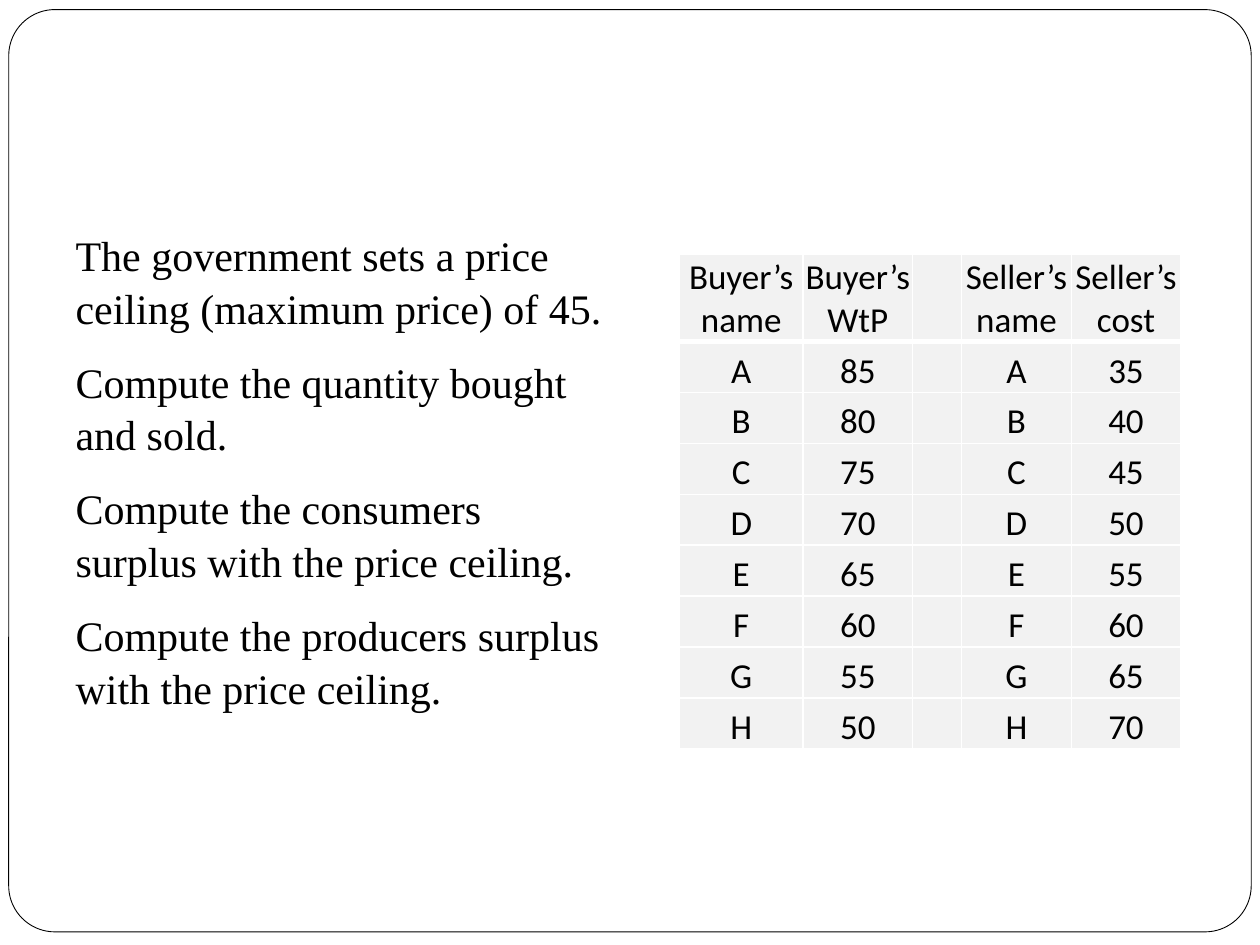
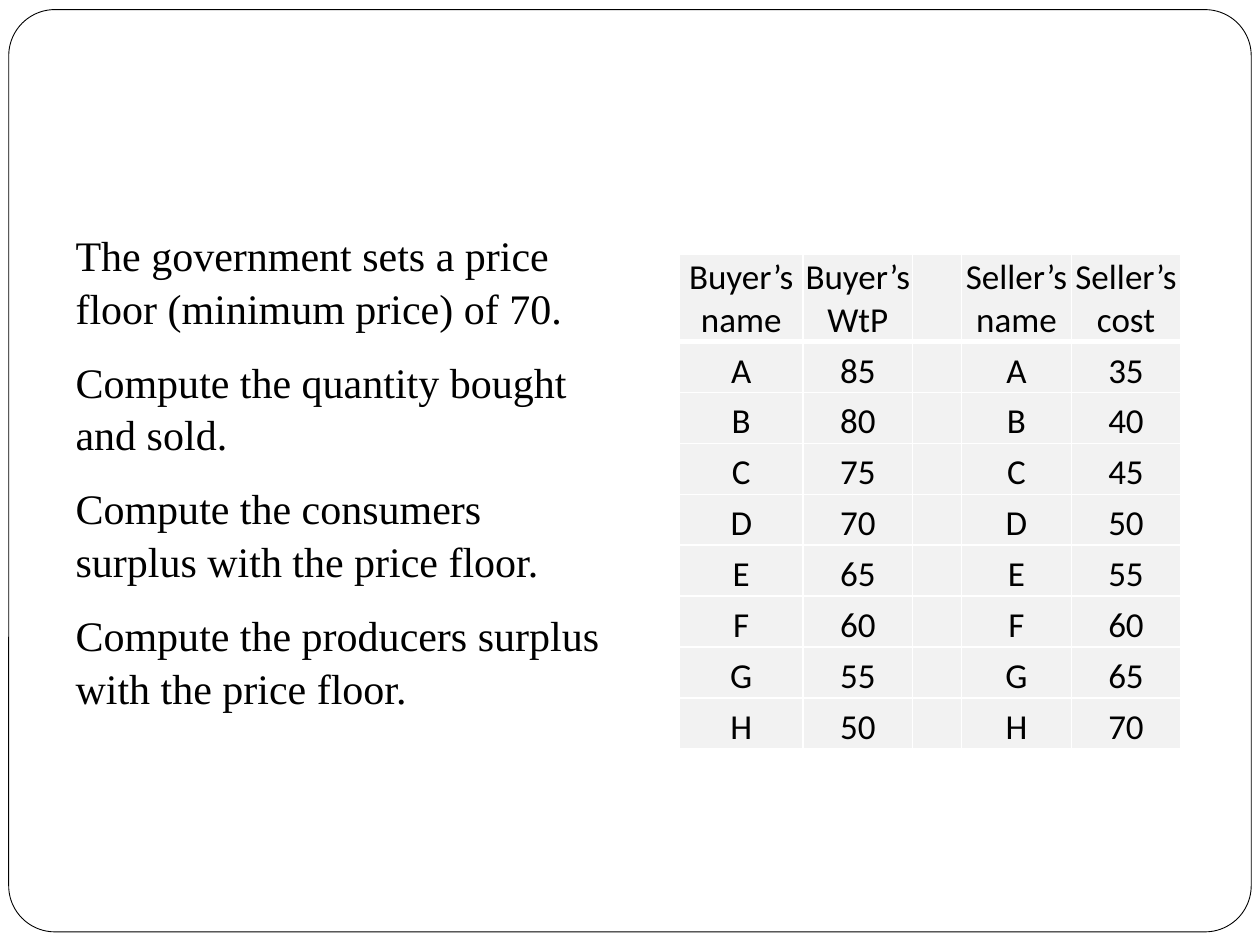
from itertools import product

from lxml.etree import SubElement
from pptx import Presentation
from pptx.dml.color import RGBColor
from pptx.enum.shapes import MSO_SHAPE as Preset
from pptx.enum.text import MSO_ANCHOR as Anchor, PP_ALIGN as Align
from pptx.oxml.ns import qn
from pptx.util import Pt

WHITE, BLACK, CELL_GREY = "FFFFFF", "000000", "F2F2F2"
BODY_FONT, TABLE_FONT = "Times New Roman", "Calibri"
FRAME_BOX = (5, 5.5, 710, 527)
QUESTION_BOX = (36, 126, 318.5, 356.5)
TABLE_BOX = (388.3, 145.5, 286.5, 282.5)
COLUMN_WIDTHS = (70.6, 62.6, 28.1, 62.6, 62.6)
ROW_HEIGHT = 29.1
HEADINGS = ("Buyer’s name", "Buyer’s WtP", "", "Seller’s name", "Seller’s cost")
TRADERS = "ABCDEFGH"
TOP_VALUE, LOWEST_COST, VALUE_STEP = 85, 35, 5
POLICIES = (("ceiling", "maximum", 45), ("floor", "minimum", 70))


def paint(color_format, hex_color):
    """Set a colour format from a hex string."""
    color_format.rgb = RGBColor.from_string(hex_color)


def add_span(para, text, font_name, size):
    """Append one formatted black run to a paragraph."""
    span = para.add_run()
    span.text = text
    span.font.name = font_name
    span.font.size = Pt(size)
    paint(span.font.color, BLACK)


def add_frame(layout, page, box):
    """Draw the rounded frame and place it on the shared layout."""
    frame = page.shapes.add_shape(Preset.ROUNDED_RECTANGLE, *map(Pt, box))
    frame.adjustments[0] = 0.05
    frame.shadow.inherit = False
    frame.fill.solid()
    paint(frame.fill.fore_color, WHITE)
    paint(frame.line.color, BLACK)
    frame.line.width = Pt(0.5)
    layout.shapes.element.insert(2, frame.element)


def fill_questions(body, box, policy):
    """Place the body placeholder and write the questions on one policy."""
    kind, limit, price = policy
    body.left, body.top, body.width, body.height = map(Pt, box)
    questions = (
        f"The government sets a price {kind} ({limit} price) of {price}.",
        "Compute the quantity bought and sold.",
        f"Compute the consumers surplus with the price {kind}.",
        f"Compute the producers surplus with the price {kind}.",
    )
    frame = body.text_frame
    for index, question in enumerate(questions):
        para = frame.add_paragraph() if index else frame.paragraphs[0]
        para.space_before, para.space_after = Pt(0), Pt(12)
        para.line_spacing = 1.05
        properties = para._p.get_or_add_pPr()
        properties.set("marL", "0")
        properties.set("indent", "0")
        SubElement(properties, qn("a:buNone"))
        add_span(para, question, BODY_FONT, 24)


def style_cell(cell, text, bottom_width):
    """Format one table cell with grey fill and white borders."""
    cell.margin_left = cell.margin_right = cell.margin_top = Pt(0.7)
    cell.margin_bottom = Pt(0)
    cell.vertical_anchor = Anchor.BOTTOM
    properties = cell._tc.get_or_add_tcPr()
    for side, width in (("L", 1), ("R", 1), ("T", 1), ("B", bottom_width)):
        border = SubElement(properties, qn(f"a:ln{side}"), w=str(Pt(width)))
        SubElement(SubElement(border, qn("a:solidFill")), qn("a:srgbClr"), val=WHITE)
    cell.fill.solid()
    paint(cell.fill.fore_color, CELL_GREY)
    para = cell.text_frame.paragraphs[0]
    para.alignment = Align.CENTER
    if text:
        add_span(para, text, TABLE_FONT, 20)


def add_market_table(page, box):
    """Add the table of buyers' values and sellers' costs."""
    rows = [HEADINGS]
    for index, name in enumerate(TRADERS):
        step = index * VALUE_STEP
        rows.append((name, str(TOP_VALUE - step), "", name, str(LOWEST_COST + step)))
    table = page.shapes.add_table(len(rows), len(HEADINGS), *map(Pt, box)).table
    table.first_row = table.horz_banding = False
    for column, width in zip(table.columns, COLUMN_WIDTHS):
        column.width = Pt(width)
    for row in table.rows:
        row.height = Pt(ROW_HEIGHT)
    table.rows[0].height = Pt(box[3] - len(TRADERS) * ROW_HEIGHT)
    for row, column in product(range(len(rows)), range(len(HEADINGS))):
        style_cell(table.cell(row, column), rows[row][column], 1 if row else 3)


def add_policy_page(deck, layout, policy):
    """Add a slide with questions on the left and the market on the right."""
    page = deck.slides.add_slide(layout)
    title = page.shapes.title
    title.element.getparent().remove(title.element)
    fill_questions(page.placeholders[1], QUESTION_BOX, policy)
    add_market_table(page, TABLE_BOX)
    return page


def main():
    """Build and save the deck."""
    deck = Presentation()
    deck.slide_width, deck.slide_height = Pt(720), Pt(540)
    layout = deck.slide_layouts[1]
    pages = [add_policy_page(deck, layout, policy) for policy in POLICIES]
    add_frame(layout, pages[0], FRAME_BOX)
    deck.save("out.pptx")


if __name__ == "__main__":
    main()
